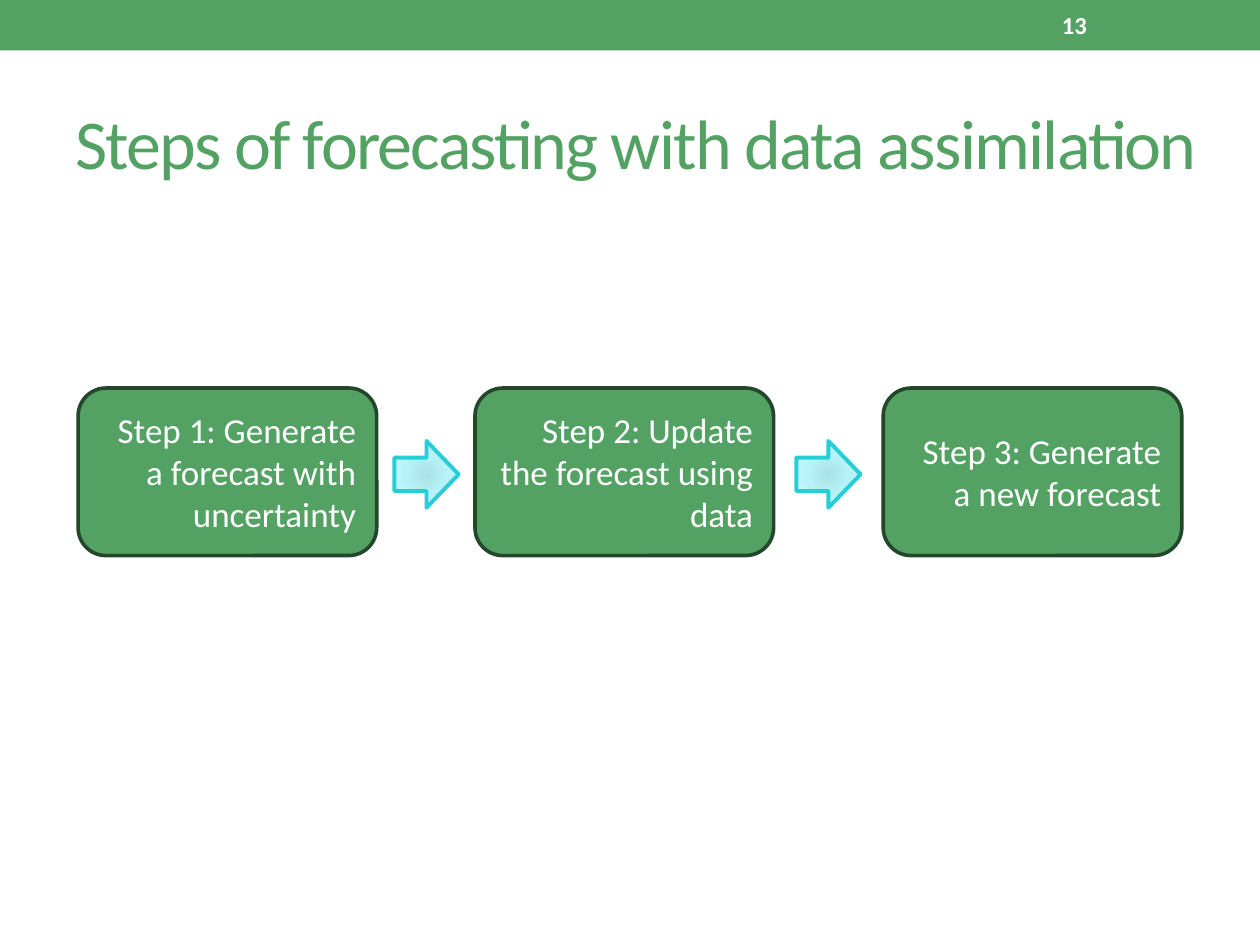
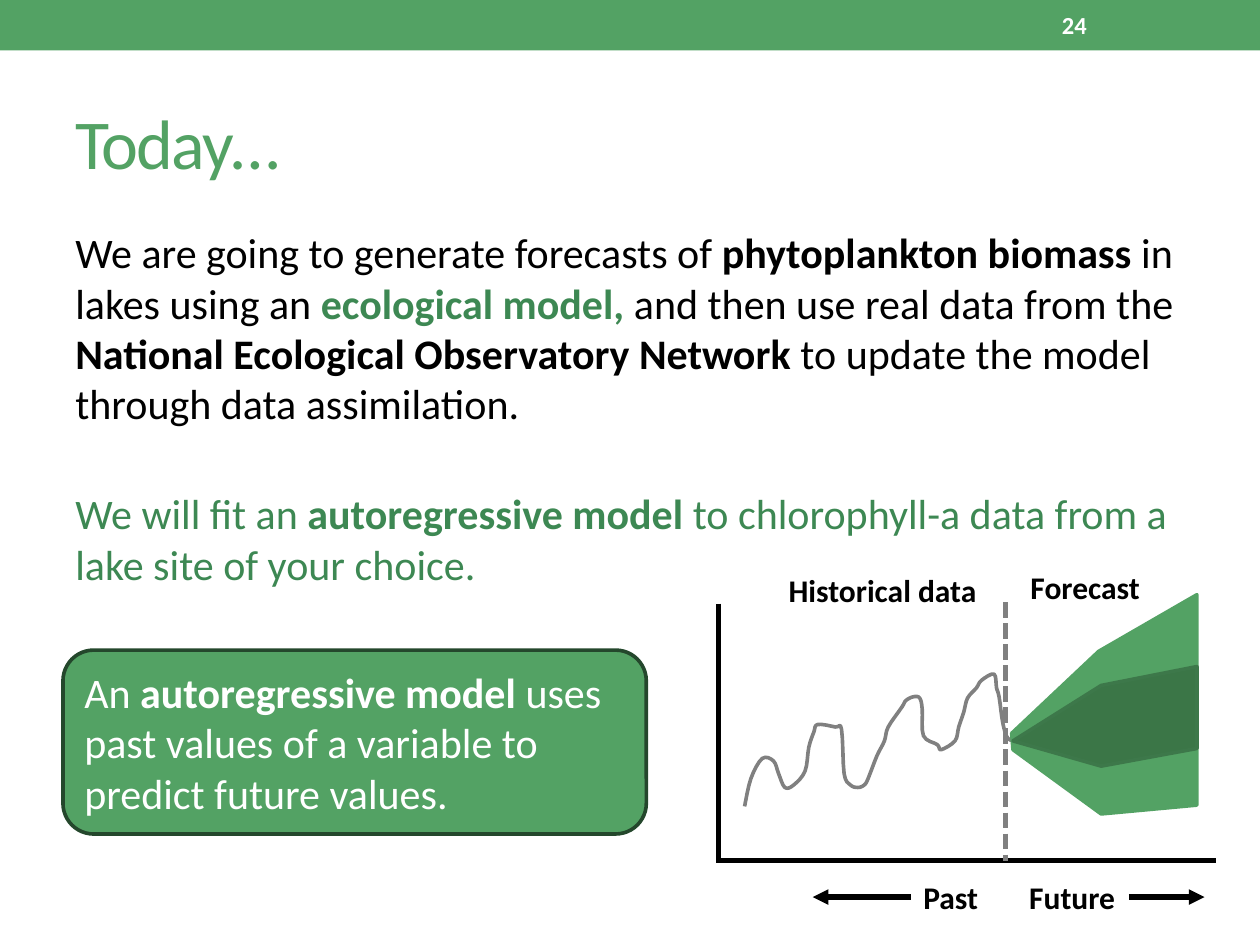
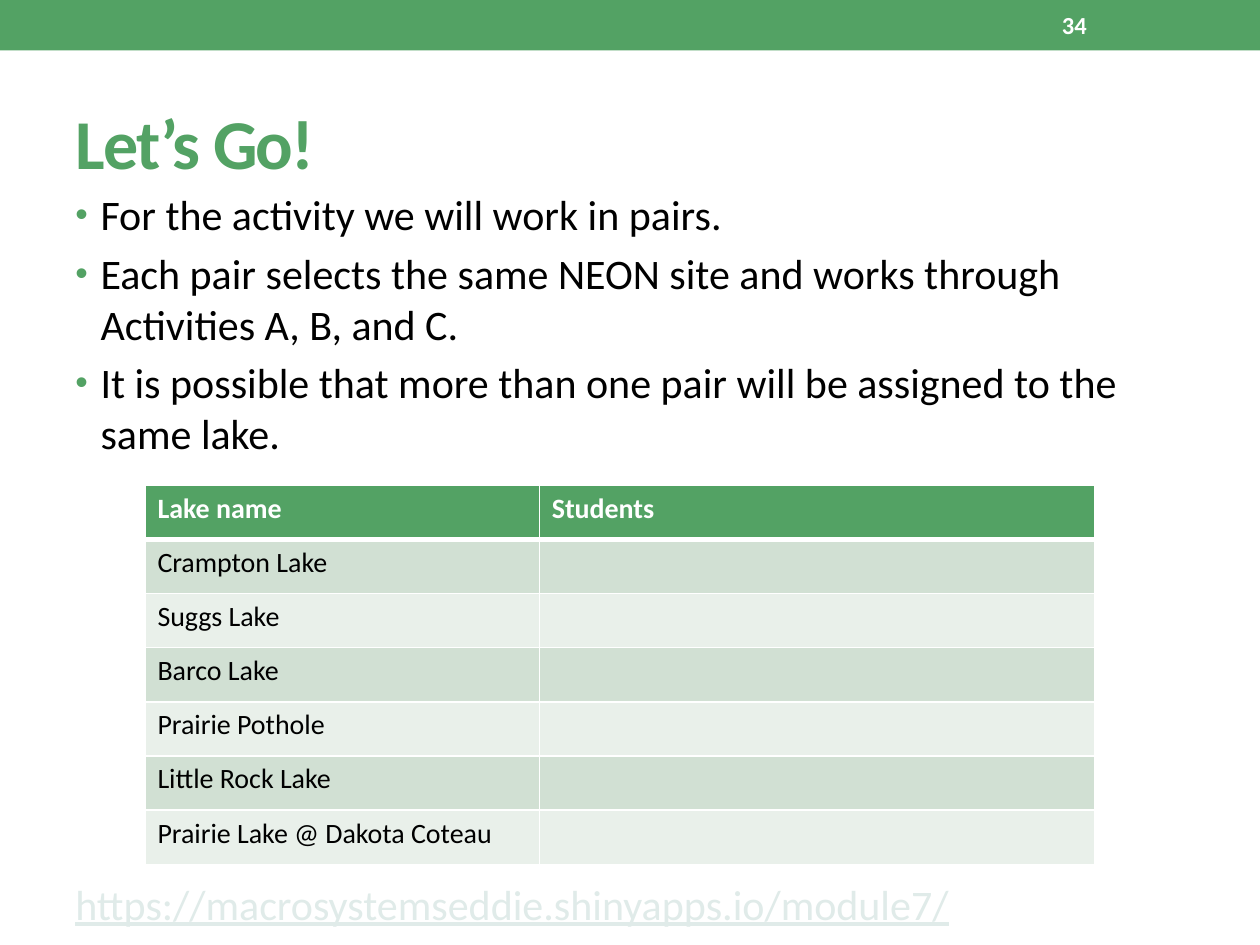
from dataclasses import dataclass

from pptx import Presentation
from pptx.dml.color import RGBColor as Rgb
from pptx.enum.dml import MSO_LINE as Dash
from pptx.enum.shapes import MSO_CONNECTOR as Connector, MSO_SHAPE as Shape
from pptx.enum.text import MSO_ANCHOR as Anchor, PP_ALIGN as Align
from pptx.oxml import parse_xml
from pptx.oxml.ns import nsdecls, qn
from pptx.util import Inches, Pt


@dataclass(frozen=True)
class Theme:
    """Colours, type sizes and line widths shared by every slide."""

    font: str = "Calibri"
    green: str = "53A264"
    outline: str = "24472C"
    accent: str = "3D8853"
    core: str = "3B7647"
    core_edge: str = "3D784A"
    arrow_edge: str = "27CED7"
    arrow_stops: tuple = ((0, "A9E1E6"), (45, "B6F2F8"), (100, "D7F8FC"))
    bands: tuple = ("E9F0EA", "D1E0D3")
    link: str = "E0EBE9"
    grey: str = "808080"
    black: str = "000000"
    white: str = "FFFFFF"
    title: int = 40
    body: int = 24
    step: int = 20
    label: int = 18
    cell: int = 16
    number: int = 14
    para_gap: float = 4.8
    edge: float = 2.08
    axis: float = 3


@dataclass(frozen=True)
class Span:
    """A piece of text with one look."""

    text: str
    size: int
    color: str = Theme.black
    bold: bool = False
    underline: bool = False
    tracking: int = 0


def grid(*cells):
    """Turn grid cells, 100 columns by 75 rows, into slide lengths."""
    return [Inches(cell / 10) for cell in cells]


def smooth(points, steps=4):
    """Return points on a curve that passes through the given points."""
    padded = [points[0], *points, points[-1]]
    curve = [points[0]]
    for before, start, end, after in zip(padded, padded[1:], padded[2:], padded[3:]):
        for step in range(1, steps + 1):
            t = step / steps
            curve.append(tuple(
                (2 * b + (c - a) * t + (2 * a - 5 * b + 4 * c - d) * t**2
                 + (3 * b - a - 3 * c + d) * t**3) / 2
                for a, b, c, d in zip(before, start, end, after)))
    return curve


class Deck:
    """Draws styled elements on the current slide."""

    def __init__(self, theme):
        """Open an empty deck on the grid."""
        self.theme = theme
        self.deck = Presentation()
        self.deck.slide_width, self.deck.slide_height = grid(100, 75)
        self.page = None

    def add_page(self, title, number, bold=False):
        """Start a slide with its band, title and number."""
        theme = self.theme
        self.page = self.deck.slides.add_slide(self.deck.slide_layouts[6])
        self.shape(Shape.RECTANGLE, (0, 0, 100, 4), theme.green)
        heading = Span(title, theme.title, theme.green, bold, tracking=-100)
        self.text((5, 5.8, 92, 10.8), [[heading]], anchor=Anchor.MIDDLE)
        self.text((83.3, 0.2, 11.7, 3.6),
                  [[Span(str(number), theme.number, theme.white, True)]],
                  anchor=Anchor.MIDDLE)

    def add_spans(self, para, spans):
        """Add spans to a paragraph run by run."""
        for span in spans:
            run = para.add_run()
            run.text = span.text
            font = run.font
            font.name, font.size, font.bold = self.theme.font, Pt(span.size), span.bold
            font.color.rgb = Rgb.from_string(span.color)
            if span.underline:
                font.underline = True
            if span.tracking:
                run._r.get_or_add_rPr().set("spc", str(span.tracking))

    def fill_frame(self, frame, paras, gap=0, align=Align.LEFT, bullets=False):
        """Put paragraphs into a text frame."""
        for index, spans in enumerate(paras):
            para = frame.add_paragraph() if index else frame.paragraphs[0]
            para.alignment = align
            if bullets:
                self.bullet(para)
            if index:
                para.space_before = Pt(gap)
            self.add_spans(para, spans)

    def bullet(self, para):
        """Give a paragraph a hanging green bullet."""
        props = para._p.get_or_add_pPr()
        indent = Inches(0.2)
        props.set("marL", str(indent))
        props.set("indent", str(-indent))
        space = nsdecls("a")
        for xml in (f'<a:buClr {space}><a:srgbClr val="{self.theme.green}"/></a:buClr>',
                    f'<a:buSzPct {space} val="85000"/>',
                    f'<a:buFont {space} typeface="Arial"/>',
                    f'<a:buChar {space} char="•"/>'):
            props.append(parse_xml(xml))

    def text(self, place, paras, anchor=Anchor.TOP, wrap=True, **layout):
        """Add a text box."""
        frame = self.page.shapes.add_textbox(*grid(*place)).text_frame
        frame.word_wrap = wrap
        frame.vertical_anchor = anchor
        self.fill_frame(frame, paras, **layout)

    def label(self, place, words):
        """Add a bold chart label on one line."""
        self.text(place, [[Span(words, self.theme.label, bold=True)]], wrap=False)

    def paint(self, shape, fill=None, edge=None, width=Theme.edge):
        """Set fill and outline and drop the shadow."""
        shape.shadow.inherit = False
        if fill:
            shape.fill.solid()
            shape.fill.fore_color.rgb = Rgb.from_string(fill)
        else:
            shape.fill.background()
        if edge:
            shape.line.color.rgb = Rgb.from_string(edge)
            shape.line.width = Pt(width)
        else:
            shape.line.fill.background()

    def shape(self, kind, place, fill=None, edge=None, width=Theme.edge):
        """Add a preset shape."""
        shape = self.page.shapes.add_shape(kind, *grid(*place))
        self.paint(shape, fill, edge, width)
        return shape

    def card(self, place, spans, align=Align.LEFT):
        """Add a rounded green card with text."""
        shape = self.shape(Shape.ROUNDED_RECTANGLE, place, self.theme.green,
                           self.theme.outline)
        frame = shape.text_frame
        frame.word_wrap = True
        frame.vertical_anchor = Anchor.MIDDLE
        self.fill_frame(frame, [spans], align=align)

    def block_arrow(self, place):
        """Add a right arrow with a radial gradient."""
        shape = self.shape(Shape.RIGHT_ARROW, place, edge=self.theme.arrow_edge, width=2.25)
        stops = "".join(f'<a:gs pos="{share * 1000}"><a:srgbClr val="{color}"/></a:gs>'
                        for share, color in self.theme.arrow_stops)
        props = shape._element.spPr
        props.replace(props.find(qn("a:noFill")), parse_xml(
            f'<a:gradFill {nsdecls("a")}><a:gsLst>{stops}</a:gsLst><a:path path="circle">'
            '<a:fillToRect l="100000" t="100000" r="100000" b="100000"/>'
            '</a:path></a:gradFill>'))

    def line(self, start, end, color=Theme.black, dash=None, arrow=False):
        """Add a straight line, dashed or with an arrowhead if asked."""
        link = self.page.shapes.add_connector(Connector.STRAIGHT, *grid(*start, *end))
        link.line.color.rgb = Rgb.from_string(color)
        link.line.width = Pt(self.theme.axis)
        if dash:
            link.line.dash_style = dash
        if arrow:
            link.line._get_or_add_ln().append(
                parse_xml(f'<a:tailEnd {nsdecls("a")} type="triangle"/>'))
        link._element.spPr.append(parse_xml(f'<a:effectLst {nsdecls("a")}/>'))

    def outline(self, points, edge, fill=None):
        """Add a freeform, closed when it is filled."""
        corners = [grid(*point) for point in points]
        builder = self.page.shapes.build_freeform(*corners[0], scale=1.0)
        builder.add_line_segments(corners[1:], close=bool(fill))
        self.paint(builder.convert_to_shape(), fill, edge)

    def table(self, place, widths, rows):
        """Add a banded table with a green header."""
        theme = self.theme
        table = self.page.shapes.add_table(len(rows), len(widths), *grid(*place)).table
        for column, width in zip(table.columns, grid(*widths)):
            column.width = width
        for index, row in enumerate(rows):
            header = index == 0
            for cell, words in zip(table.rows[index].cells, row):
                if words:
                    color = theme.white if header else theme.black
                    self.add_spans(cell.text_frame.paragraphs[0],
                                   [Span(words, theme.cell, color, header)])
                self.borders(cell, top=3 if index == 1 else 1, bottom=3 if header else 1)
                cell.fill.solid()
                cell.fill.fore_color.rgb = Rgb.from_string(
                    theme.green if header else theme.bands[index % 2])

    def borders(self, cell, top, bottom):
        """Draw white borders around a cell."""
        props = cell._tc.get_or_add_tcPr()
        for side, width in (("L", 1), ("R", 1), ("T", top), ("B", bottom)):
            props.append(parse_xml(
                f'<a:ln{side} {nsdecls("a")} w="{Pt(width)}"><a:solidFill>'
                f'<a:srgbClr val="{self.theme.white}"/></a:solidFill></a:ln{side}>'))


def add_steps(deck):
    """Build the slide with the three steps."""
    theme = deck.theme
    deck.add_page("Steps of forecasting with data assimilation", 13)
    steps = ((6.2, "Step 1: Generate a forecast with uncertainty"),
             (37.7, "Step 2: Update the forecast using data"),
             (70.1, "Step 3: Generate a new forecast"))
    for left, words in steps:
        deck.card((left, 30.8, 23.7, 13.3), [Span(words, theme.step, theme.white)], Align.RIGHT)
    for left in (31.3, 63.2):
        deck.block_arrow((left, 35, 5.1, 5.3))


def add_today(deck):
    """Build the slide that introduces the model."""
    theme = deck.theme
    size, accent, white = theme.body, theme.accent, theme.white
    deck.add_page("Today…", 24)
    deck.text((5, 17.5, 90.6, 30), [
        [Span("We are going to generate forecasts of ", size),
         Span("phytoplankton biomass ", size, bold=True),
         Span("in lakes using an ", size),
         Span("ecological model, ", size, accent, True),
         Span("and then use real data from the ", size),
         Span("National Ecological Observatory Network ", size, bold=True),
         Span("to update the model through data assimilation.", size)],
        [Span("We will fit an ", size, accent),
         Span("autoregressive model", size, accent, True),
         Span(" to chlorophyll-a data from a lake site of your choice.", size, accent)],
    ], gap=34)
    deck.card((5, 51.6, 46.3, 14.6), [
        Span("An ", size, white),
        Span("autoregressive model", size, white, True),
        Span(" uses past values of a variable to predict future values.", size, white)])
    add_forecast_sketch(deck)


def add_forecast_sketch(deck):
    """Draw the history curve and the forecast fan."""
    theme = deck.theme
    deck.line((57, 47.9), (57, 68.4))
    deck.line((96.5, 68.3), (56.8, 68.3))
    history = [
        (59.1, 64), (59.6, 61.8), (60.5, 60.2), (61.4, 60.4), (61.8, 61.4), (62.3, 62.5),
        (63, 62.3), (63.9, 61.2), (64.2, 59.3), (64.6, 58.1), (64.9, 57.5), (66.3, 57.7),
        (66.8, 57.9), (67, 61.4), (67.5, 62.3), (68.1, 62.5), (68.6, 62.3), (68.9, 61.8),
        (69.6, 60), (70.2, 58.8), (70.5, 57.7), (71.6, 56.1), (71.9, 55.6), (72.5, 55.3),
        (73, 55.4), (73.2, 56.3), (73.3, 58.4), (74.4, 59.1), (74.7, 59.5), (75.8, 58.8),
        (76.1, 57.7), (76.5, 56.5), (76.8, 55.4), (77.5, 54.6), (77.9, 54), (78.9, 53.5),
        (79.1, 54.6), (79.3, 55.3), (79.6, 57.4), (80, 58.6), (80.7, 58.8)]
    deck.outline(smooth(history), theme.grey)
    deck.line((79.8, 47.8), (79.8, 68.3), theme.grey, Dash.SQUARE_DOT)
    deck.label((72.3, 69.2, 6.4, 4), "Past")
    deck.label((80.7, 69.2, 8.9, 4), "Future")
    deck.label((61.6, 44.8, 17.1, 4), "Historical data")
    deck.label((80.8, 44.6, 10.8, 4), "Forecast")
    deck.line((89.6, 71.2), (95.6, 71.2), arrow=True)
    deck.line((72.3, 71.2), (64.5, 71.2), arrow=True)
    deck.outline([(80.4, 59.5), (87.4, 64.6), (95, 63.9), (95, 47.2), (87.2, 51.7),
                  (80.3, 58.2)], theme.green, theme.green)
    deck.outline([(80.4, 58.8), (87.4, 60.8), (95, 59.4), (95, 52.9), (87.4, 54.4)],
                 theme.core_edge, theme.core)


def add_activity(deck):
    """Build the slide with the activity and the lake table."""
    theme = deck.theme
    deck.add_page("Let’s Go!", 34, bold=True)
    points = ("For the activity we will work in pairs.",
              "Each pair selects the same NEON site and works through Activities A, B, and C.",
              "It is possible that more than one pair will be assigned to the same lake.")
    deck.text((5, 14.5, 90, 23), [[Span(point, theme.body)] for point in points],
              gap=theme.para_gap, bullets=True)
    lakes = ("Crampton Lake", "Suggs Lake", "Barco Lake", "Prairie Pothole",
             "Little Rock Lake", "Prairie Lake @ Dakota Coteau")
    deck.table((11.5, 38.5, 75.4, 30.1), (31.3, 44.1),
               [("Lake name", "Students"), *((lake, "") for lake in lakes)])
    deck.text((5, 69.2, 90, 5), [[Span("https://macrosystemseddie.shinyapps.io/module7/",
                                       theme.body, theme.link, underline=True)]])


def main():
    """Build and save the deck."""
    deck = Deck(Theme())
    add_steps(deck)
    add_today(deck)
    add_activity(deck)
    deck.deck.save("out.pptx")


if __name__ == "__main__":
    main()
